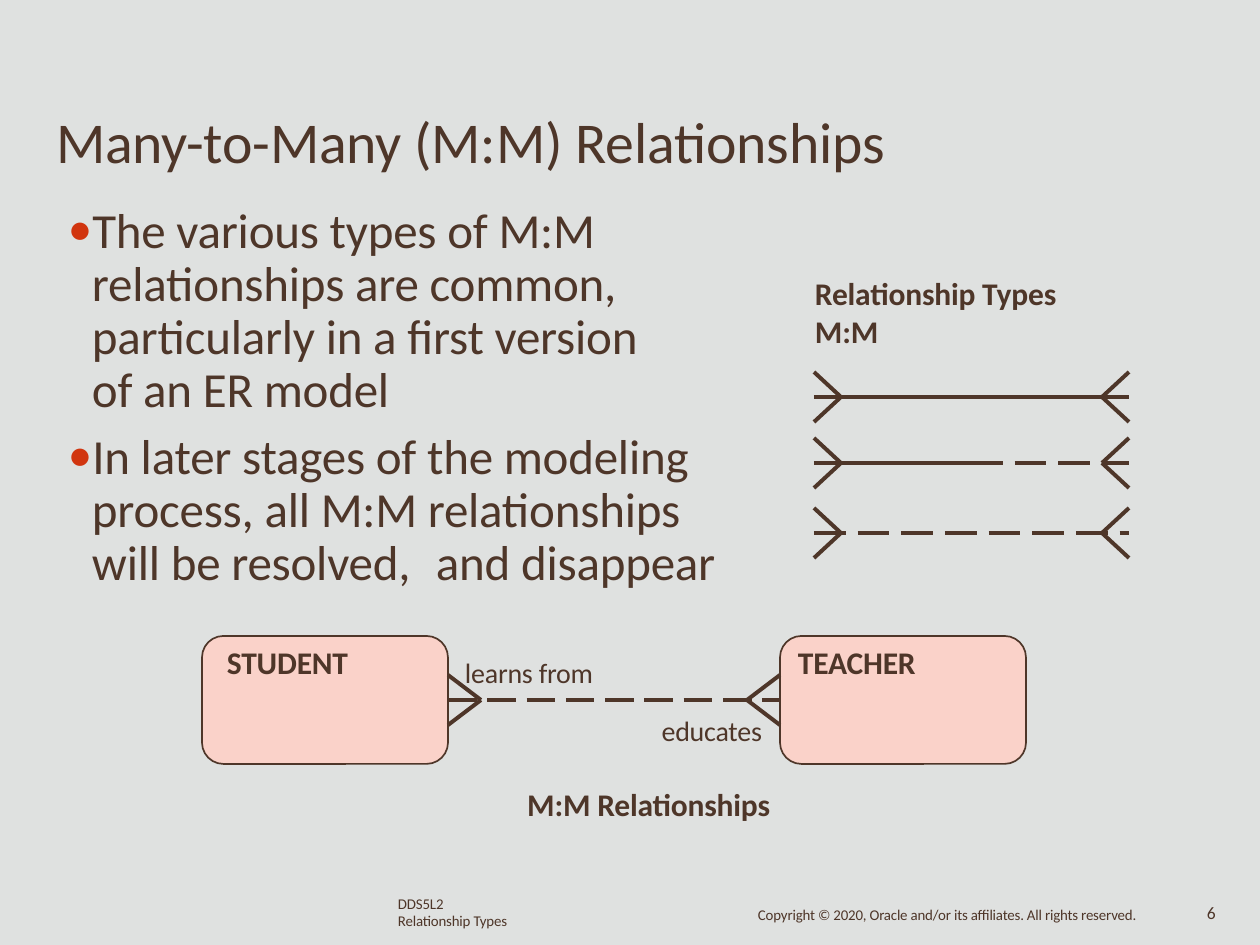
"""Build the slide on many-to-many relationships."""
from lxml import etree
from pptx import Presentation
from pptx.dml.color import RGBColor
from pptx.enum.dml import MSO_LINE
from pptx.enum.shapes import MSO_CONNECTOR, MSO_SHAPE
from pptx.enum.text import MSO_ANCHOR, PP_ALIGN
from pptx.oxml.ns import qn
from pptx.util import Pt

PX = 914400 / 126
FONT = "Calibri"
INK, PAPER, PINK, RED = "4E3629", "DFE1E0", "FAD2C9", "D1350F"
LEFT, RIGHT = PP_ALIGN.LEFT, PP_ALIGN.RIGHT
TOP = MSO_ANCHOR.TOP
STRAIGHT = MSO_CONNECTOR.STRAIGHT
ROUNDED = MSO_SHAPE.ROUNDED_RECTANGLE
SOLID, DASHED = MSO_LINE.SOLID, MSO_LINE.LONG_DASH
RIGHT_SIDE, LEFT_SIDE = 3, 1

BULLETS = [
    "The various types of M:M relationships are common, "
    "particularly in a first version\vof an ER model",
    "In later stages of the modeling process, all M:M relationships "
    "will be resolved,\tand disappear",
]
BODY_BOX = (67, 205, 656, 390)
BULLET_INDENT, BULLET_TAB = 25, 369

# left, top, width, height, text, size, bold, align, line spacing
LABELS = [
    (56, 106, 840, 72, "Many-to-Many (M:M) Relationships", 33, False, LEFT, None),
    (815, 274, 260, 78, "Relationship Types\vM:M", 18, True, LEFT, None),
    (465, 656, 140, 35, "learns from", 16, False, LEFT, None),
    (630, 714, 132, 35, "educates", 16, False, RIGHT, None),
    (510, 785, 260, 39, "M:M Relationships", 18, True, RIGHT, None),
    (227, 643, 140, 39, "STUDENT", 18, True, LEFT, None),
    (798, 643, 140, 39, "TEACHER", 18, True, LEFT, None),
    (398, 896, 130, 36, "DDS5L2\vRelationship Types", 8.5, False, LEFT, 9.7),
    (758, 908, 420, 19, "Copyright © 2020, Oracle and/or its affiliates. "
     "All rights reserved.", 8.5, False, LEFT, 9.1),
    (1207, 905, 28, 21, "6", 10, False, LEFT, 10.4),
]

ENTITIES = [(202, 636), (780, 636)]
ENTITY_SIZE = (246, 128)
KEY_LEFT, KEY_MIDDLE, KEY_RIGHT = 814, 971, 1129
KEY_ROWS = [(397, SOLID, SOLID), (463, SOLID, DASHED), (533, DASHED, DASHED)]
FOOT_HALF = 25


def px(n):
    return round(n * PX)


def color(hex_text):
    return RGBColor.from_string(hex_text)


def style(p, size, bold=False):
    for r in p.runs:
        r.font.size, r.font.bold, r.font.name = Pt(size), bold, FONT
        r.font.color.rgb = color(INK)
        r.font._element.set("spc", "-10")


def add_box(slide, *box):
    tf = slide.shapes.add_textbox(*map(px, box)).text_frame
    tf.word_wrap, tf.vertical_anchor = True, TOP
    tf.margin_left = tf.margin_top = tf.margin_right = tf.margin_bottom = 0
    return tf


def add_label(slide, x, y, w, h, text, size, bold, align, spacing):
    p = add_box(slide, x, y, w, h).paragraphs[0]
    p.text, p.alignment = text, align
    if spacing:
        p.line_spacing = Pt(spacing)
    style(p, size, bold)


def add_bullet(p):
    pPr = p._p.get_or_add_pPr()
    pPr.set("marL", str(px(BULLET_INDENT)))
    pPr.set("indent", str(-px(BULLET_INDENT - 1)))
    clr = etree.SubElement(pPr, qn("a:buClr"))
    etree.SubElement(clr, qn("a:srgbClr"), val=RED)
    etree.SubElement(pPr, qn("a:buFont"), typeface=FONT)
    etree.SubElement(pPr, qn("a:buChar"), char="•")
    tabs = etree.SubElement(pPr, qn("a:tabLst"))
    for stop in (BULLET_INDENT, BULLET_TAB):
        etree.SubElement(tabs, qn("a:tab"), pos=str(px(stop)), algn="l")


def add_body(slide):
    tf = add_box(slide, *BODY_BOX)
    for i, text in enumerate(BULLETS):
        p = tf.add_paragraph() if i else tf.paragraphs[0]
        p.text = text
        add_bullet(p)
        p.line_spacing = Pt(30.3)
        if i:
            p.space_before = Pt(7.9)
        style(p, 28)


def add_entity(slide, x, y):
    s = slide.shapes.add_shape(ROUNDED, *map(px, (x, y, *ENTITY_SIZE)))
    s.shadow.inherit = False
    s.fill.solid()
    s.fill.fore_color.rgb = color(PINK)
    s.line.color.rgb = color(INK)
    s.line.width = Pt(0.96)
    return s


def add_line(slide, x1, y1, x2, y2, dash=SOLID, width=2.28):
    c = slide.shapes.add_connector(STRAIGHT, *map(px, (x1, y1, x2, y2)))
    c.line.color.rgb = color(INK)
    c.line.width = Pt(width)
    c.line.dash_style = dash
    etree.SubElement(c._element.spPr, qn("a:effectLst"))
    return c


def add_foot(slide, tip, end, y):
    for dy in (-FOOT_HALF, FOOT_HALF):
        add_line(slide, tip, y, end, y + dy)


def add_key(slide):
    for y, first, second in KEY_ROWS:
        if first == second:
            add_line(slide, KEY_LEFT, y, KEY_RIGHT, y, first)
        else:
            add_line(slide, KEY_LEFT, y, KEY_MIDDLE, y, first)
            add_line(slide, KEY_MIDDLE, y, KEY_RIGHT, y, second)
        add_foot(slide, KEY_LEFT + 27, KEY_LEFT, y)
        add_foot(slide, KEY_RIGHT - 27, KEY_RIGHT, y)


def add_relationship(slide):
    student, teacher = [add_entity(slide, *e) for e in ENTITIES]
    start, end = ENTITIES[0][0] + ENTITY_SIZE[0], ENTITIES[1][0]
    y = ENTITIES[0][1] + ENTITY_SIZE[1] // 2
    c = add_line(slide, start, y, end, y, DASHED, 2.04)
    c.begin_connect(student, RIGHT_SIDE)
    c.end_connect(teacher, LEFT_SIDE)
    add_foot(slide, start + 33, start, y)
    add_foot(slide, end - 33, end, y)


def main():
    prs = Presentation()
    prs.slide_width, prs.slide_height = px(1260), px(945)
    slide = prs.slides.add_slide(prs.slide_layouts[6])
    slide.background.fill.solid()
    slide.background.fill.fore_color.rgb = color(PAPER)
    add_relationship(slide)
    add_body(slide)
    add_key(slide)
    for label in LABELS:
        add_label(slide, *label)
    prs.save("out.pptx")


if __name__ == "__main__":
    main()
